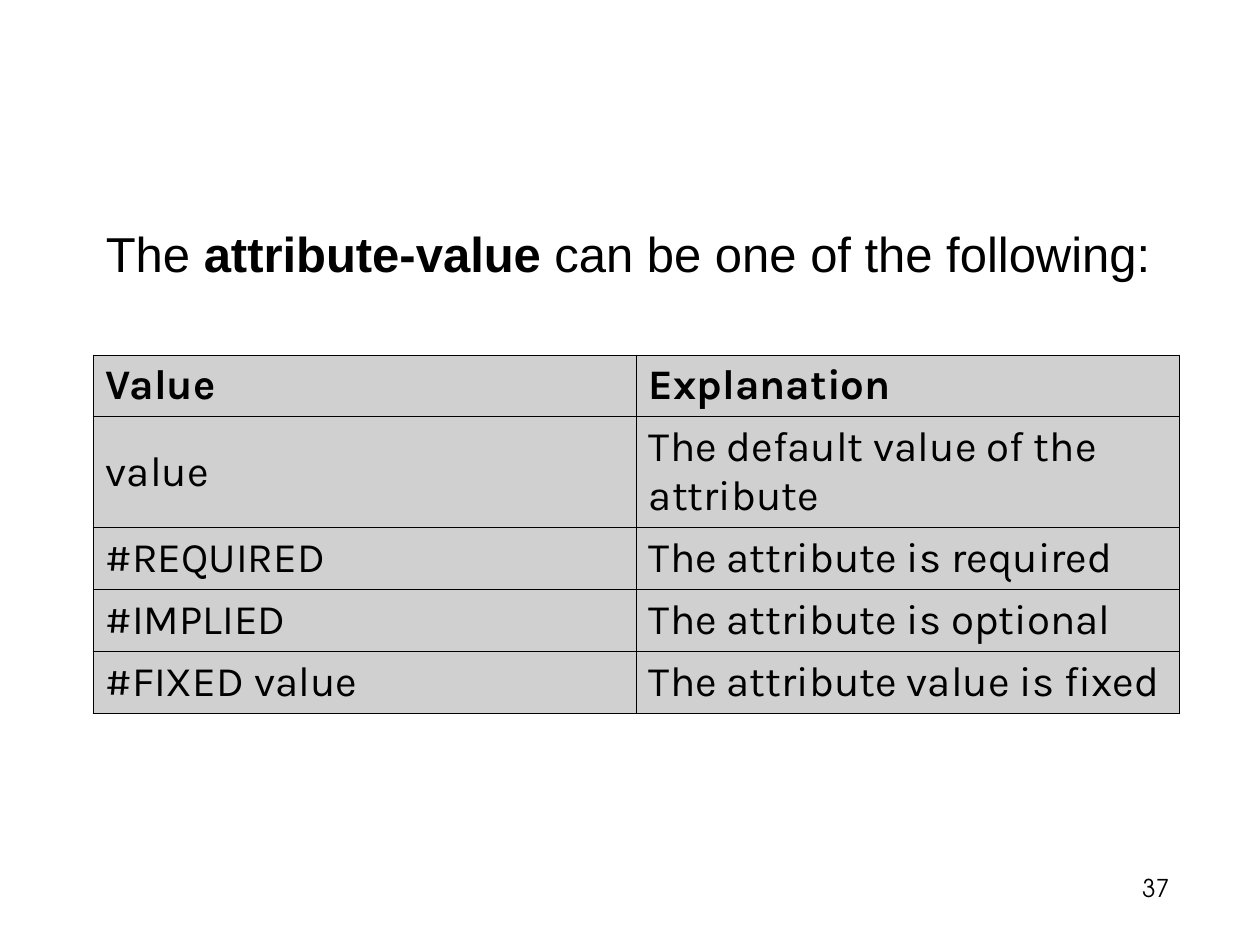
import pptx
import pptx.dml.color
import pptx.enum.text
import pptx.util
from lxml import etree

Cm, Pt = pptx.util.Cm, pptx.util.Pt
MIDDLE = pptx.enum.text.MSO_ANCHOR.MIDDLE
ALIGN = pptx.enum.text.PP_ALIGN
NS = "http://schemas.openxmlformats.org/drawingml/2006/main"


def rgb(value):
    return pptx.dml.color.RGBColor.from_string(value)


def add_run(p, text, **formats):
    r = p.add_run()
    r.text = text
    r.font.color.rgb = rgb("000000")
    for name, value in formats.items():
        setattr(r.font, name, value)


prs = pptx.Presentation()
prs.slide_width, prs.slide_height = Cm(25.4), Cm(19.05)
s = prs.slides.add_slide(prs.slide_layouts.get_by_name("Title Only"))

# Title sentence
title = s.shapes.title
title.left, title.top, title.width, title.height = Cm(1.88), Cm(4.37), Cm(22.58), Cm(1.45)
tf = title.text_frame
frame_format = {"word_wrap": True, "vertical_anchor": MIDDLE,
                "auto_size": pptx.enum.text.MSO_AUTO_SIZE.NONE}
for name, value in frame_format.items():
    setattr(tf, name, value)
p = tf.paragraphs[0]
p.alignment = ALIGN.LEFT
for text, bold in [("The ", False), ("attribute-value", True),
                   (" can be one of the following:", False)]:
    add_run(p, text, name="Arial", size=Pt(28), bold=bold)

# Table of attribute values
rows = [
    ("Value", "Explanation"),
    ("value", "The default value of the attribute"),
    ("#REQUIRED", "The attribute is required"),
    ("#IMPLIED", "The attribute is optional"),
    ("#FIXED value", "The attribute value is fixed"),
]
heights = [1.23, 2.24, 1.23, 1.25, 1.25]
table = s.shapes.add_table(len(rows), 2, Cm(1.88), Cm(7.16),
                           Cm(21.9), Cm(sum(heights))).table
for i, (row, height) in enumerate(zip(rows, heights)):
    table.rows[i].height = Cm(height)
    for j, text in enumerate(row):
        cell = table.cell(i, j)
        cell.vertical_anchor = MIDDLE
        add_run(cell.text_frame.paragraphs[0], text,
                name="Karla", size=Pt(24), bold=i == 0)
        # Borders come before the fill in the cell properties
        tcPr = cell._tc.get_or_add_tcPr()
        for side in ("lnL", "lnR", "lnT", "lnB"):
            ln = etree.SubElement(tcPr, f"{{{NS}}}{side}", w=str(Pt(0.75)))
            fill = etree.SubElement(ln, f"{{{NS}}}solidFill")
            etree.SubElement(fill, f"{{{NS}}}srgbClr", val="000000")
        cell.fill.solid()
        cell.fill.fore_color.rgb = rgb("D0D0D0")

# Page number
tf = s.shapes.add_textbox(Cm(22.6), Cm(17.17), Cm(1.4), Cm(1.55)).text_frame
tf.word_wrap = True
p = tf.paragraphs[0]
p.alignment = ALIGN.CENTER
p.line_spacing = 1.5
add_run(p, "37", name="TeX Gyre Adventor", size=Pt(14))

prs.save("out.pptx")
